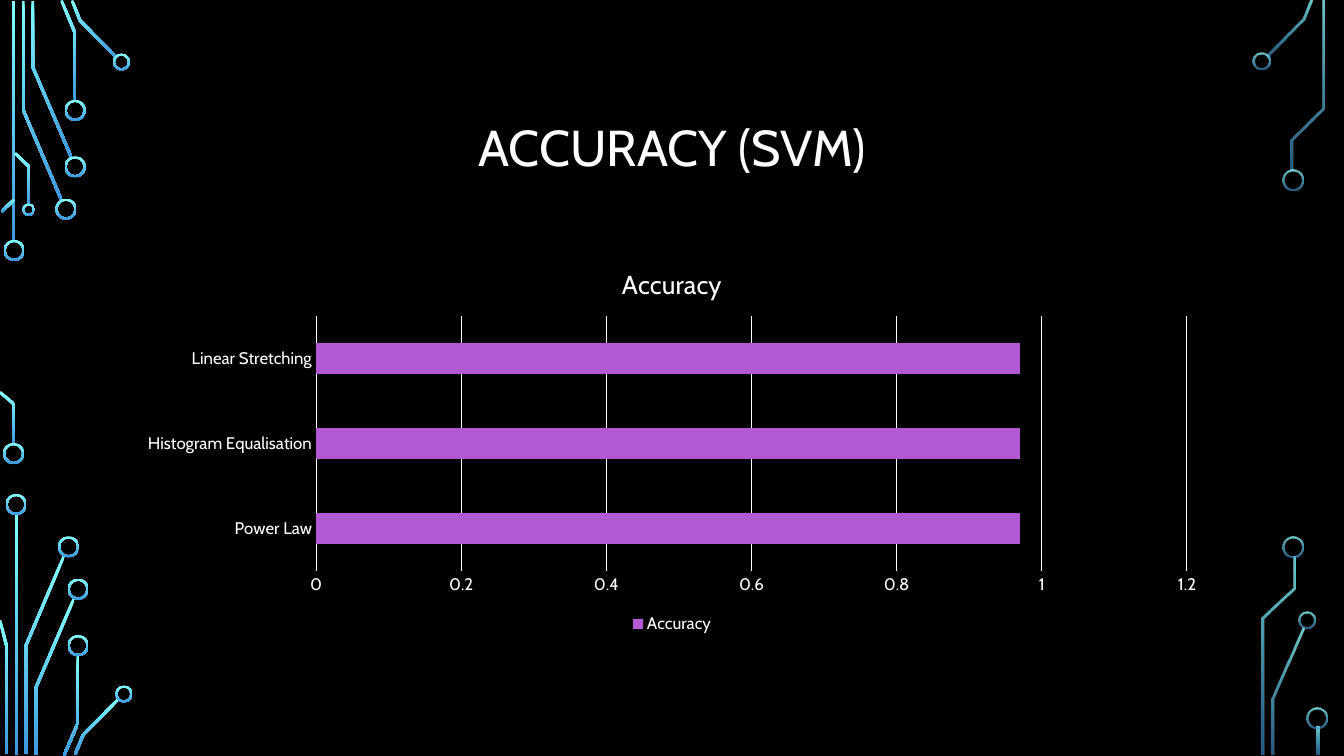
from dataclasses import dataclass
from itertools import pairwise

from lxml.etree import SubElement
from pptx import Presentation
from pptx.chart.data import CategoryChartData
from pptx.dml.color import RGBColor
from pptx.enum.chart import XL_CHART_TYPE as ChartType
from pptx.enum.chart import XL_LEGEND_POSITION as LegendPosition
from pptx.enum.chart import XL_TICK_MARK as TickMark
from pptx.enum.shapes import MSO_SHAPE as Preset
from pptx.enum.text import MSO_ANCHOR as Anchor
from pptx.enum.text import PP_ALIGN as Align
from pptx.oxml.ns import qn
from pptx.util import Inches, Pt


@dataclass(frozen=True)
class Theme:
    font: str = "Cabin"
    background: str = "000000"
    text: str = "FFFFFF"
    bar: str = "B258D3"
    glow: tuple = ("82FFFF", "3D97DE")
    title_size: float = 36
    chart_title_size: float = 18.6
    label_size: float = 12
    line_width: float = 0.75


THEME = Theme()
CELL = Inches(0.1)
COLUMNS, ROWS = 133.33, 75
MARGIN = 12.5
TRACE_WIDTH = 0.27
RING_THICKNESS = 0.2
SOLID, FADED = (100, 100), (80, 60)

LEFT_BARS = [(1.2, 0.1, 23.9), (1.5, 51, 23.9)]
LEFT_TRACES = [
    [(6.1, 19.85), (2.3, 10.9), (2.3, 0.1)],
    [(7.1, 15.65), (3.25, 6.65), (3.25, 0.1)],
    [(7.45, 10), (7.45, 3.3), (6.1, 0.05)],
    [(11.55, 5.7), (7.95, 2.05), (7.15, 0.05)],
    [(0.15, 21), (1.4, 19.8)],
    [(1.4, 44.1), (1.4, 40.1), (0, 38.9)],
    [(2.9, 20.3), (2.9, 16.55), (1.5, 15.2)],
    [(2.55, 74.8), (2.55, 64.1), (6.35, 55.15)],
    [(0.65, 74.8), (0.65, 64.1), (0, 61.55)],
    [(3.55, 74.9), (3.55, 68.25), (7.35, 59.35)],
    [(6.35, 74.95), (7.75, 71.7), (7.75, 65)],
    [(7.45, 74.85), (8.25, 72.9), (11.8, 69.3)],
]
LEFT_RINGS = [
    (1.4, 24.85, 2.1), (1.35, 45, 2.1), (6.55, 20.75, 2.1), (7.45, 16.55, 2.1),
    (7.45, 10.95, 2.1), (12.05, 6.15, 1.7), (2.85, 20.8, 1.25), (1.6, 50.05, 2.1),
    (6.8, 54.25, 2.1), (7.75, 58.45, 2.1), (7.75, 64.05, 2.1), (12.3, 68.85, 1.7),
]
RIGHT_BARS = [(130.6, 72.1, 2.8)]
RIGHT_TRACES = [
    [(125.7, 5.55), (129.25, 1.95), (130.05, 0.05)],
    [(126.25, 74.9), (126.25, 69.35), (129.3, 62.35)],
    [(128.2, 16.9), (128.2, 13.85), (131.25, 10.75), (131.25, 0.1)],
    [(125.25, 74.9), (125.25, 61.35), (128.35, 58.35), (128.35, 55.2)],
]
RIGHT_RINGS = [
    (125.15, 6.05, 1.7), (128.25, 17.85, 2.1), (129.65, 61.55, 1.7),
    (128.3, 54.25, 2.1), (130.65, 71.2, 2.1),
]


def cells(*counts):
    return [round(count * CELL) for count in counts]


def color(name):
    return RGBColor.from_string(name)


def style_font(font, size):
    font.name = THEME.font
    font.size = Pt(size)
    font.bold = False
    font.color.rgb = color(THEME.text)


def style_line(line):
    line.color.rgb = color(THEME.text)
    line.width = Pt(THEME.line_width)


def apply_glow(shape, opacities):
    shape.shadow.inherit = False
    shape.line.fill.background()
    shape.fill.gradient()
    shape.fill.gradient_angle = 270
    for stop, name, opacity in zip(shape.fill.gradient_stops, THEME.glow, opacities):
        stop.color.rgb = color(name)
    for element, opacity in zip(shape.element.spPr.iter(qn("a:srgbClr")), opacities):
        if opacity < 100:
            SubElement(element, qn("a:alpha"), val=str(opacity * 1000))


def add_bar(group, left, top, height, opacities):
    bar = group.shapes.add_shape(Preset.RECTANGLE, *cells(left, top, TRACE_WIDTH, height))
    apply_glow(bar, opacities)


def add_ring(group, center_x, center_y, diameter, opacities):
    left, top = center_x - diameter / 2, center_y - diameter / 2
    ring = group.shapes.add_shape(Preset.DONUT, *cells(left, top, diameter, diameter))
    ring.adjustments[0] = RING_THICKNESS / diameter
    apply_glow(ring, opacities)


def add_trace(group, route, opacities):
    points = [complex(*point) for point in route]
    normals = [1j * (end - start) / abs(end - start) for start, end in pairwise(points)]
    joints = [
        (before + after) / (1 + (before * after.conjugate()).real)
        for before, after in pairwise([normals[0], *normals, normals[-1]])
    ]
    offsets = [joint * TRACE_WIDTH / 2 for joint in joints]
    one_side = [point + offset for point, offset in zip(points, offsets)]
    other_side = [point - offset for point, offset in zip(points, offsets)]
    outline = [cells(point.real, point.imag) for point in one_side + other_side[::-1]]
    builder = group.shapes.build_freeform(*outline[0])
    builder.add_line_segments(outline[1:], close=True)
    apply_glow(builder.convert_to_shape(), opacities)


def add_circuit(slide, bars, traces, rings, opacities):
    group = slide.shapes.add_group_shape()
    for bar in bars:
        add_bar(group, *bar, opacities)
    for route in traces:
        add_trace(group, route, opacities)
    for ring in rings:
        add_ring(group, *ring, opacities)
    slide.shapes.title.element.addprevious(group.element)


def fill_title(slide, text):
    title = slide.shapes.title
    title.left, title.top, title.width, title.height = cells(
        MARGIN, 6.8, COLUMNS - 2 * MARGIN, 16.2
    )
    frame = title.text_frame
    frame.text = text
    frame.word_wrap = True
    frame.vertical_anchor = Anchor.MIDDLE
    paragraph = frame.paragraphs[0]
    paragraph.alignment = Align.CENTER
    paragraph.line_spacing = 0.9
    style_font(paragraph.font, THEME.title_size)


def style_axis(axis):
    axis.major_tick_mark = axis.minor_tick_mark = TickMark.NONE
    style_font(axis.tick_labels.font, THEME.label_size)


def add_accuracy_chart(slide, name, accuracies):
    data = CategoryChartData()
    data.categories = list(accuracies)
    data.add_series(name, list(accuracies.values()))
    area = cells(MARGIN, 24.6, COLUMNS - 2 * MARGIN, 38.7)
    chart = slide.shapes.add_chart(ChartType.BAR_CLUSTERED, *area, data).chart
    style_font(chart.font, THEME.label_size)

    chart.has_title = True
    chart.chart_title.include_in_layout = False
    chart.chart_title.text_frame.text = name
    style_font(chart.chart_title.text_frame.paragraphs[0].font, THEME.chart_title_size)

    chart.has_legend = True
    chart.legend.position = LegendPosition.BOTTOM
    chart.legend.include_in_layout = False
    style_font(chart.legend.font, THEME.label_size)

    plot = chart.plots[0]
    plot.gap_width = 182
    plot.vary_by_categories = False
    plot.series[0].format.fill.solid()
    plot.series[0].format.fill.fore_color.rgb = color(THEME.bar)

    style_axis(chart.category_axis)
    style_line(chart.category_axis.format.line)
    values = chart.value_axis
    style_axis(values)
    values.minimum_scale, values.maximum_scale, values.major_unit = 0, 1.2, 0.2
    values.format.line.fill.background()
    style_line(values.major_gridlines.format.line)


def main():
    presentation = Presentation()
    presentation.slide_width, presentation.slide_height = cells(COLUMNS, ROWS)
    slide = presentation.slides.add_slide(presentation.slide_layouts.get_by_name("Title Only"))
    slide.background.fill.solid()
    slide.background.fill.fore_color.rgb = color(THEME.background)
    add_circuit(slide, LEFT_BARS, LEFT_TRACES, LEFT_RINGS, SOLID)
    add_circuit(slide, RIGHT_BARS, RIGHT_TRACES, RIGHT_RINGS, FADED)
    fill_title(slide, "ACCURACY (SVM)")
    accuracies = {"Power Law": 0.97, "Histogram Equalisation": 0.97, "Linear Stretching": 0.97}
    add_accuracy_chart(slide, "Accuracy", accuracies)
    presentation.save("out.pptx")


if __name__ == "__main__":
    main()
